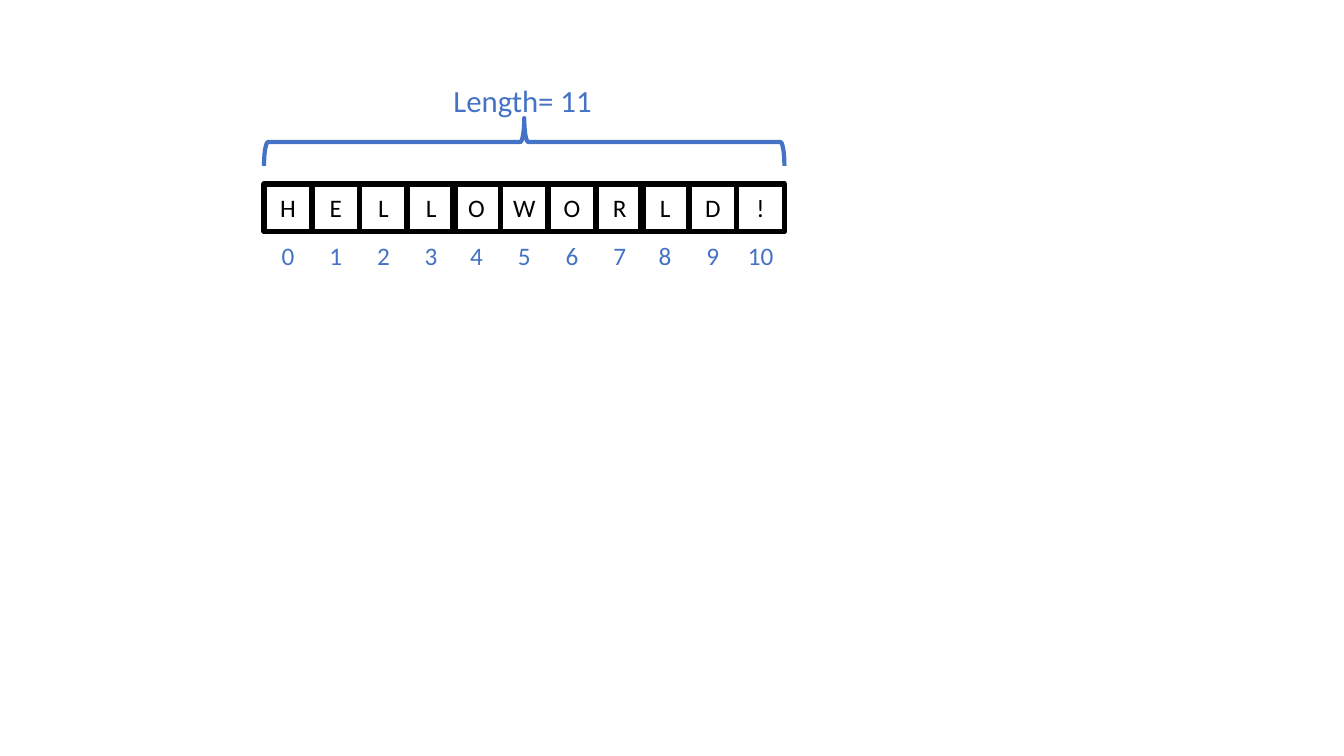
"""Build a slide showing a string as an indexed array of characters."""
from dataclasses import dataclass

import pptx
import pptx.dml.color
import pptx.enum.shapes
import pptx.enum.text
import pptx.shapes.autoshape
import pptx.slide
import pptx.text.text
import pptx.util

Pt = pptx.util.Pt
RGB = pptx.dml.color.RGBColor
SHAPE = pptx.enum.shapes.MSO_SHAPE


@dataclass(frozen=True)
class Theme:
    """Colours, font and sizes of the slide."""
    ink: RGB = RGB(0x00, 0x00, 0x00)
    paper: RGB = RGB(0xFF, 0xFF, 0xFF)
    accent: RGB = RGB(0x44, 0x72, 0xC4)
    font: str = "Calibri"
    cell_size: float = 18
    label_size: float = 22
    cell_line: float = 4
    brace_line: float = 3


@dataclass(frozen=True)
class Row:
    """One row of square cells."""
    texts: list[str]
    top: float
    line: RGB
    color: RGB


THEME = Theme()
LETTERS = list("HELLOWORLD!")
CELL = 34.1
ROW_LEFT = 188.6
GROUP_SIZE = 4
GROUP_PITCH = 134.7
BRACE_TOP = 84.4


def cell_left(index: int) -> float:
    """Return the left edge of a cell; cells abut within groups of four."""
    group, place = divmod(index, GROUP_SIZE)
    return ROW_LEFT + group * GROUP_PITCH + place * CELL


def style_text(p: pptx.text.text._Paragraph, size: float, color: RGB) -> None:
    """Set the font of a paragraph."""
    p.font.name = THEME.font
    p.font.size = Pt(size)
    p.font.color.rgb = color


def add_outline(s: pptx.slide.Slide, kind: SHAPE, left: float, top: float,
                width: float, height: float, color: RGB,
                line: float) -> pptx.shapes.autoshape.Shape:
    """Add an unfilled, outlined preset shape."""
    sp = s.shapes.add_shape(kind, Pt(left), Pt(top), Pt(width), Pt(height))
    sp.shadow.inherit = False
    sp.fill.background()
    sp.line.color.rgb = color
    sp.line.width = Pt(line)
    return sp


def add_row(s: pptx.slide.Slide, row: Row) -> None:
    """Add a row of cells with centred text."""
    for i, text in enumerate(row.texts):
        sp = add_outline(s, SHAPE.RECTANGLE, cell_left(i), row.top, CELL, CELL,
                         row.line, THEME.cell_line)
        tf = sp.text_frame
        tf.vertical_anchor = pptx.enum.text.MSO_ANCHOR.MIDDLE
        p = tf.paragraphs[0]
        p.text = text
        p.alignment = pptx.enum.text.PP_ALIGN.CENTER
        style_text(p, THEME.cell_size, row.color)


def add_brace(s: pptx.slide.Slide) -> None:
    """Add the brace that spans all the cells."""
    span = cell_left(len(LETTERS) - 1) + CELL - ROW_LEFT
    left = ROW_LEFT + (span - CELL) / 2
    top = BRACE_TOP - (span - CELL) / 2
    sp = add_outline(s, SHAPE.LEFT_BRACE, left, top, CELL, span,
                     THEME.accent, THEME.brace_line)
    sp.rotation = 90


def add_length_label(s: pptx.slide.Slide) -> None:
    """Add the length above the brace."""
    sp = s.shapes.add_textbox(Pt(316.8), Pt(54.7), Pt(114.5), Pt(33.8))
    tf = sp.text_frame
    tf.word_wrap = False
    tf.auto_size = pptx.enum.text.MSO_AUTO_SIZE.SHAPE_TO_FIT_TEXT
    p = tf.paragraphs[0]
    p.text = f"Length= {len(LETTERS)}"
    style_text(p, THEME.label_size, THEME.accent)


def main() -> None:
    """Build and save the presentation."""
    prs = pptx.Presentation()
    prs.slide_width, prs.slide_height = Pt(960), Pt(540)
    s = prs.slides.add_slide(prs.slide_layouts.get_by_name("Blank"))
    indices = [str(i) for i in range(len(LETTERS))]
    for row in (Row(indices, 165.4, THEME.paper, THEME.accent),
                Row(LETTERS, 131.3, THEME.ink, THEME.ink)):
        add_row(s, row)
    add_brace(s)
    add_length_label(s)
    prs.save("out.pptx")


main()
